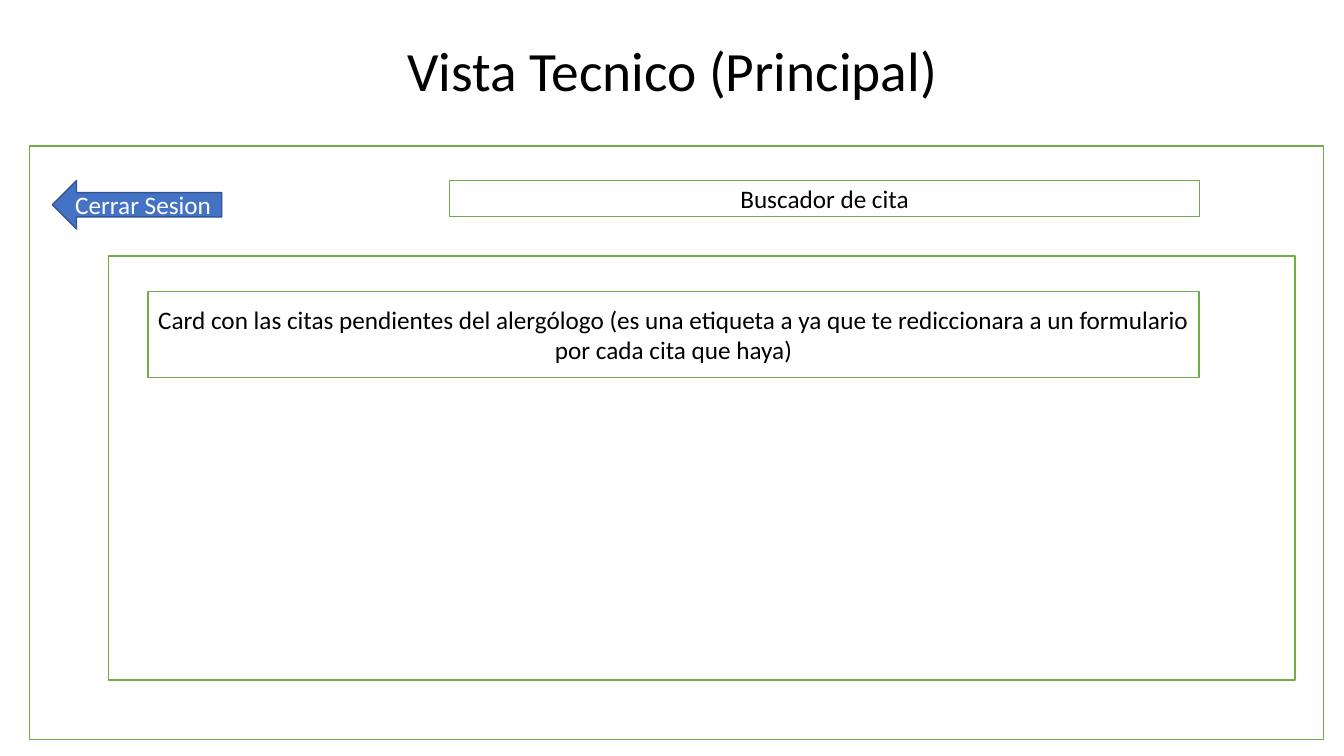
from pptx import Presentation
from pptx.dml.color import RGBColor
from pptx.enum.shapes import MSO_SHAPE
from pptx.enum.text import MSO_ANCHOR, PP_ALIGN
from pptx.util import Cm, Pt

COLORS = {
    "black": "000000",
    "white": "FFFFFF",
    "green": "70AD47",
    "blue": "4472C4",
    "dark blue": "325491",
}
PANEL = {"kind": MSO_SHAPE.RECTANGLE, "fill": "white", "line": "green", "font": "black"}
BACK_BUTTON = {"kind": MSO_SHAPE.LEFT_ARROW, "fill": "blue", "line": "dark blue", "font": "white"}

TITLE = "Vista Tecnico (Principal)"
TITLE_BOX = (2.34, 1.02, 29.21, 1.68)

# (text, (left, top, width, height) in cm, look), from back to front
VIEW_PARTS = [
    ("", (0.74, 3.68, 32.61, 14.96), PANEL),
    ("Cerrar Sesion", (1.32, 4.55, 4.27, 1.22), BACK_BUTTON),
    ("", (2.74, 6.45, 29.9, 10.69), PANEL),
    ("Card con las citas pendientes del alergólogo (es una etiqueta a ya que te "
     "rediccionara a un formulario por cada cita que haya)",
     (3.73, 7.34, 26.49, 2.18), PANEL),
    ("Buscador de cita", (11.33, 4.55, 18.9, 0.91), PANEL),
]


def rgb(color):
    return RGBColor.from_string(COLORS[color])


def write(shape, text, size, color, line_spacing=1.0):
    """Put centred text into a shape or placeholder."""
    frame = shape.text_frame
    frame.text = text
    frame.word_wrap = True
    frame.vertical_anchor = MSO_ANCHOR.MIDDLE
    paragraph = frame.paragraphs[0]
    paragraph.alignment = PP_ALIGN.CENTER
    paragraph.line_spacing = line_spacing
    font = paragraph.runs[0].font
    for attribute, value in {"name": "Calibri", "size": Pt(size)}.items():
        setattr(font, attribute, value)
    font.color.rgb = rgb(color)


def add_part(slide, text, box, look):
    part = slide.shapes.add_shape(look["kind"], *map(Cm, box))
    part.shadow.inherit = False
    part.fill.solid()
    part.fill.fore_color.rgb = rgb(look["fill"])
    part.line.color.rgb = rgb(look["line"])
    part.line.width = Pt(1)
    if text:
        write(part, text, 18, look["font"])


def main():
    deck = Presentation()
    deck.slide_width, deck.slide_height = Cm(33.87), Cm(19.05)
    slide = deck.slides.add_slide(deck.slide_layouts[5])

    title = slide.shapes.title
    for side, length in zip(("left", "top", "width", "height"), TITLE_BOX):
        setattr(title, side, Cm(length))
    write(title, TITLE, 39.6, "black", line_spacing=0.9)

    for text, box, look in VIEW_PARTS:
        add_part(slide, text, box, look)
    deck.save("out.pptx")


if __name__ == "__main__":
    main()
